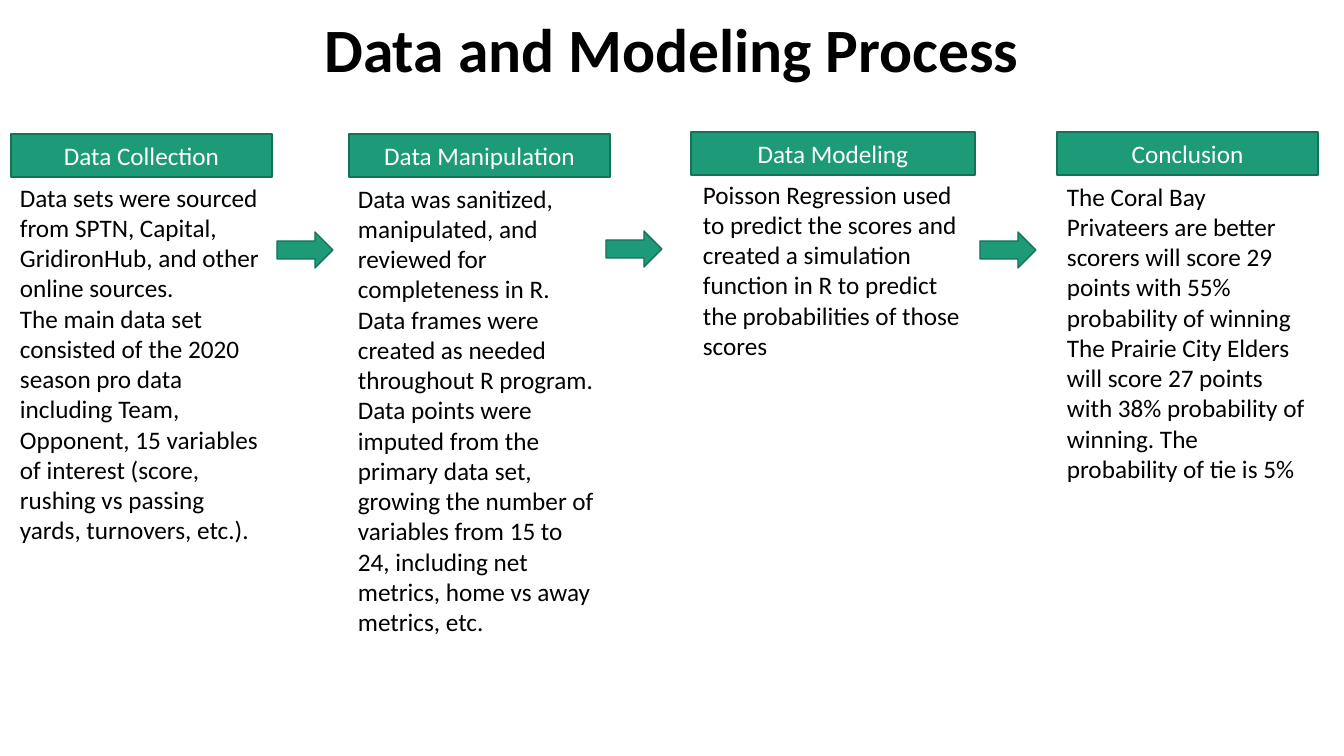
from dataclasses import dataclass

from pptx import Presentation
from pptx.dml.color import RGBColor as Rgb
from pptx.enum.shapes import MSO_SHAPE as Kind
from pptx.enum.text import MSO_ANCHOR as Anchor, MSO_AUTO_SIZE as Fit, PP_ALIGN as Align
from pptx.util import Emu, Pt

SCALE = 914400 / 100.8  # EMU in one px


@dataclass(frozen=True)
class Theme:
    font: str = "Calibri"
    green: Rgb = Rgb(0x1D, 0x9A, 0x78)
    edge: Rgb = Rgb(0x15, 0x72, 0x59)
    black: Rgb = Rgb(0, 0, 0)
    white: Rgb = Rgb(255, 255, 255)
    title: int = 44
    body: int = 18
    line: int = 1


THEME = Theme()

# Each stage: heading, header box, text box, paragraphs
STAGES = [
    ("Data Collection", (11, 134, 261, 43), (10, 177, 263, 377), [
        "Data sets were sourced from SPTN, Capital, "
        "GridironHub, and other online sources.",
        "The main data set consisted of the 2020 season pro data including "
        "Team, Opponent, 15 variables of interest (score, rushing vs passing "
        "yards, turnovers, etc.)."]),
    ("Data Manipulation", (349, 134, 261, 43), (348, 178, 261, 468), [
        "Data was sanitized, manipulated, and reviewed for completeness in R. "
        "Data frames were created as needed throughout R program.",
        "Data points were imputed from the primary data set, growing the "
        "number of variables from 15 to 24, including net metrics, "
        "home vs away metrics, etc."]),
    ("Data Modeling", (691, 132, 284, 43), (693, 174, 282, 194), [
        "Poisson Regression used to predict the scores and created a "
        "simulation function in R to predict the probabilities of those "
        "scores"]),
    ("Conclusion", (1057, 132, 261, 43), (1057, 176, 261, 316), [
        "The Coral Bay Privateers are better scorers will score 29 points "
        "with 55% probability of winning",
        "The Prairie City Elders will score 27 points with 38% probability "
        "of winning. The probability of tie is 5%"]),
]

ARROWS = [(277, 232), (606, 231), (980, 232)]


def px(*vals):
    return [Emu(round(val * SCALE)) for val in vals]


def write(frame, paras, size, color, bold=False, align=Align.LEFT):
    frame.word_wrap = True
    for num, text in enumerate(paras):
        para = frame.paragraphs[0] if num == 0 else frame.add_paragraph()
        para.alignment = align
        run = para.add_run()
        run.text = text
        font = run.font
        font.name, font.size, font.bold = THEME.font, Pt(size), bold
        font.color.rgb = color


def add_title(slide, text):
    frame = slide.shapes.add_textbox(*px(0, 0, 1344, 105)).text_frame
    frame.vertical_anchor = Anchor.MIDDLE
    write(frame, [text], THEME.title, THEME.black, True, Align.CENTER)
    frame.paragraphs[0].line_spacing = 0.9


def add_block(slide, kind, box):
    shape = slide.shapes.add_shape(kind, *px(*box))
    shape.shadow.inherit = False
    shape.fill.solid()
    shape.fill.fore_color.rgb = THEME.green
    shape.line.color.rgb = THEME.edge
    shape.line.width = Pt(THEME.line)
    return shape


def add_header(slide, text, box):
    frame = add_block(slide, Kind.RECTANGLE, box).text_frame
    frame.vertical_anchor = Anchor.MIDDLE
    write(frame, [text], THEME.body, THEME.white, align=Align.CENTER)


def add_body(slide, paras, box):
    frame = slide.shapes.add_textbox(*px(*box)).text_frame
    write(frame, paras, THEME.body, THEME.black)
    frame.auto_size = Fit.SHAPE_TO_FIT_TEXT


def main():
    deck = Presentation()
    deck.slide_width, deck.slide_height = px(1344, 756)
    slide = deck.slides.add_slide(deck.slide_layouts[6])

    add_title(slide, "Data and Modeling Process")

    # Arrows between the stages
    for left, top in ARROWS:
        add_block(slide, Kind.RIGHT_ARROW, (left, top, 56, 36))

    # Stage columns
    for head, bar, box, paras in STAGES:
        add_body(slide, paras, box)
        add_header(slide, head, bar)

    deck.save("out.pptx")


if __name__ == "__main__":
    main()
